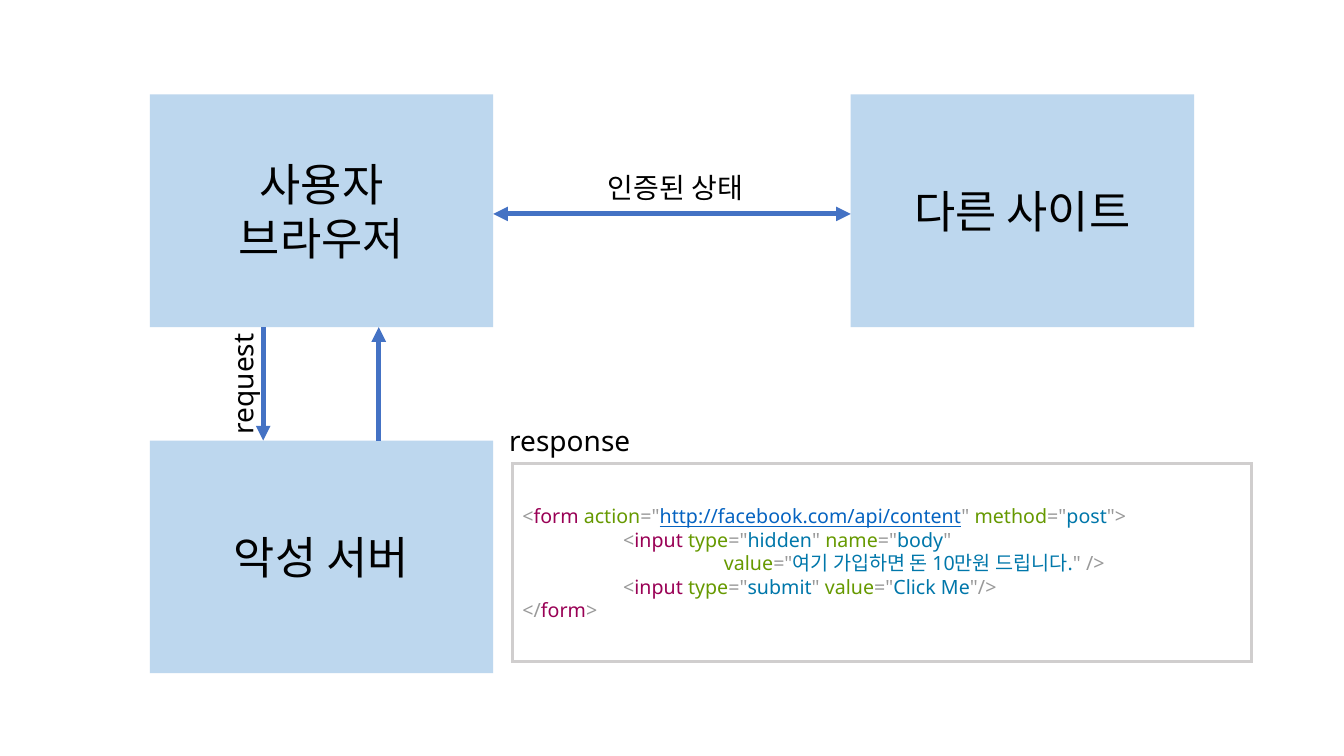
from lxml.etree import SubElement
from pptx import Presentation
from pptx.dml.color import RGBColor
from pptx.enum.shapes import MSO_CONNECTOR, MSO_SHAPE
from pptx.enum.text import MSO_ANCHOR, PP_ALIGN
from pptx.oxml.ns import qn
from pptx.util import Pt

COLORS = {
    "box": "BDD7EE", "arrow": "4472C4", "frame": "D0CECE", "text": "000000",
    "mark": "999999", "tag": "990055", "attr": "669900", "value": "0077AA", "url": "0563C1",
}
KOREAN, LATIN = "Noto Sans CJK KR", "Noto Sans"
BOX_W, BOX_H = 245.3, 166.2
LEFT, RIGHT = 107, 607.7
TOP, BOTTOM = 67.5, 314.7
LABEL_W, LABEL_H = 228, 19.5

FORM_CODE = [
    [("mark", "<"), ("tag", "form "), ("attr", "action"), ("mark", '="'),
     ("url", "http://facebook.com/api/content"), ("mark", '" '), ("attr", "method"),
     ("mark", '="'), ("value", "post"), ("mark", '">')],
    [("mark", "\t<"), ("tag", "input "), ("attr", "type"), ("mark", '="'), ("value", "hidden"),
     ("mark", '" '), ("attr", "name"), ("mark", '="'), ("value", "body"), ("mark", '"')],
    [("attr", "\t\tvalue"), ("mark", '="'), ("value", "여기 가입하면 돈 10만원 드립니다."),
     ("mark", '" />')],
    [("mark", "\t<"), ("tag", "input "), ("attr", "type"), ("mark", '="'), ("value", "submit"),
     ("mark", '" '), ("attr", "value"), ("mark", '="'), ("value", "Click Me"), ("mark", '"/>')],
    [("mark", "</"), ("tag", "form"), ("mark", ">")],
]


def rgb(role):
    """Return the colour of a role."""
    return RGBColor.from_string(COLORS[role])


def add_text(paragraph, text, size, color="text", underline=None):
    """Add a formatted run to a paragraph."""
    run = paragraph.add_run()
    run.text = text
    run.font.size = Pt(size)
    run.font.name = LATIN
    run.font.color.rgb = rgb(color)
    run.font.underline = underline
    SubElement(run.font._element, qn("a:ea"), typeface=KOREAN)


def add_box(slide, left, top, width, height, fill=None, line=None):
    """Add a rectangle and return its text frame."""
    box = slide.shapes.add_shape(MSO_SHAPE.RECTANGLE, Pt(left), Pt(top), Pt(width), Pt(height))
    box.shadow.inherit = False
    if fill:
        box.fill.solid()
        box.fill.fore_color.rgb = rgb(fill)
    else:
        box.fill.background()
    if line:
        box.line.color.rgb = rgb(line)
        box.line.width = Pt(2)
        SubElement(box.line._get_or_add_ln(), qn("a:miter"), lim="800000")
    else:
        box.line.fill.background()
    frame = box.text_frame
    frame.word_wrap = True
    frame.vertical_anchor = MSO_ANCHOR.MIDDLE
    return frame


def add_party(slide, left, top, lines):
    """Add one party of the exchange with its centred name."""
    frame = add_box(slide, left, top, BOX_W, BOX_H, fill="box")
    for index, line in enumerate(lines):
        paragraph = frame.add_paragraph() if index else frame.paragraphs[0]
        paragraph.alignment = PP_ALIGN.CENTER
        add_text(paragraph, line, 32)


def add_code(slide, left, top, width, height):
    """Add the framed form code with one-inch tab stops."""
    frame = add_box(slide, left, top, width, height, line="frame")
    for index, tokens in enumerate(FORM_CODE):
        paragraph = frame.add_paragraph() if index else frame.paragraphs[0]
        paragraph.alignment = PP_ALIGN.LEFT
        properties = paragraph._p.get_or_add_pPr()
        properties.set("defTabSz", str(Pt(72)))
        stops = SubElement(properties, qn("a:tabLst"))
        for stop in (72, 144):
            SubElement(stops, qn("a:tab"), pos=str(Pt(stop)), algn="l")
        for role, text in tokens:
            add_text(paragraph, text, 14, role, underline=role == "url" or None)


def add_label(slide, center_x, center_y, text, rotation=0):
    """Add an arrow label centred on a point."""
    label = slide.shapes.add_textbox(
        Pt(center_x - LABEL_W / 2), Pt(center_y - LABEL_H / 2), Pt(LABEL_W), Pt(LABEL_H))
    label.rotation = rotation
    frame = label.text_frame
    frame.word_wrap = True
    frame.vertical_anchor = MSO_ANCHOR.MIDDLE
    frame.margin_top = frame.margin_bottom = 0
    paragraph = frame.paragraphs[0]
    paragraph.alignment = PP_ALIGN.CENTER
    paragraph.line_spacing = 0.9
    add_text(paragraph, text, 20)


def add_arrow(slide, start, end, both=False):
    """Add an arrow between two points."""
    arrow = slide.shapes.add_connector(
        MSO_CONNECTOR.STRAIGHT, *(Pt(value) for value in (*start, *end)))
    arrow.line.color.rgb = rgb("arrow")
    arrow.line.width = Pt(3.5)
    line = arrow.line._get_or_add_ln()
    for tip in ("a:headEnd", "a:tailEnd") if both else ("a:tailEnd",):
        SubElement(line, qn(tip), type="triangle")
    SubElement(arrow._element.spPr, qn("a:effectLst"))


def build_exchange(slide):
    """Place the parties, their arrows and the response."""
    add_party(slide, LEFT, TOP, ["사용자", "브라우저"])
    add_party(slide, RIGHT, TOP, ["다른 사이트"])
    add_party(slide, LEFT, BOTTOM, ["악성 서버"])
    session_y, browser_bottom = TOP + 85.3, TOP + BOX_H
    request_x, response_x = LEFT + 81, LEFT + BOX_W * 2 / 3
    add_arrow(slide, (LEFT + BOX_W, session_y), (RIGHT, session_y), both=True)
    add_arrow(slide, (request_x, browser_bottom), (request_x, BOTTOM))
    add_arrow(slide, (response_x, BOTTOM), (response_x, browser_bottom))
    add_label(slide, 482.5, session_y - 17.8, "인증된 상태")
    add_label(slide, request_x - 13.5, (browser_bottom + BOTTOM) / 2, "request", rotation=270)
    add_label(slide, 407, BOTTOM + 1, "response")
    add_code(slide, 366, 331.3, 528, 141.3)


def main():
    """Build and save the slide."""
    deck = Presentation()
    deck.slide_width, deck.slide_height = Pt(960), Pt(540)
    build_exchange(deck.slides.add_slide(deck.slide_layouts[6]))
    deck.save("out.pptx")


if __name__ == "__main__":
    main()
